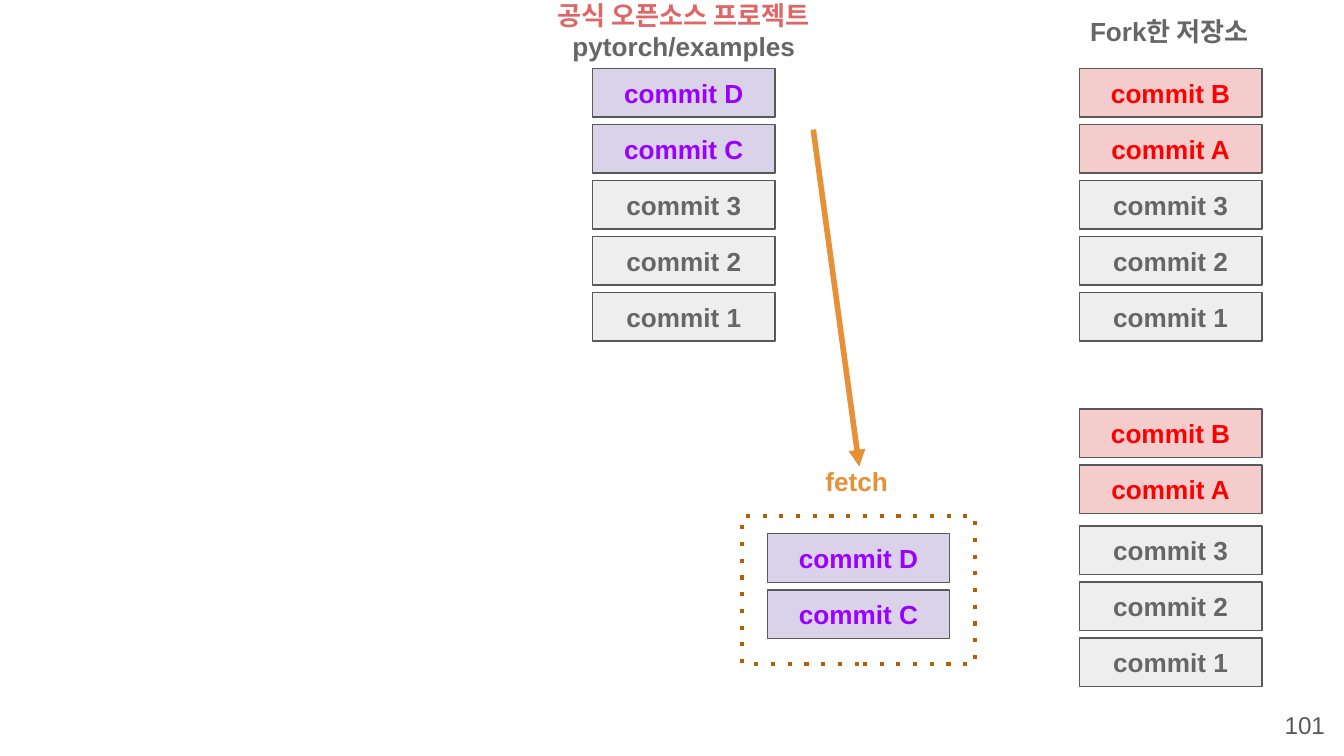
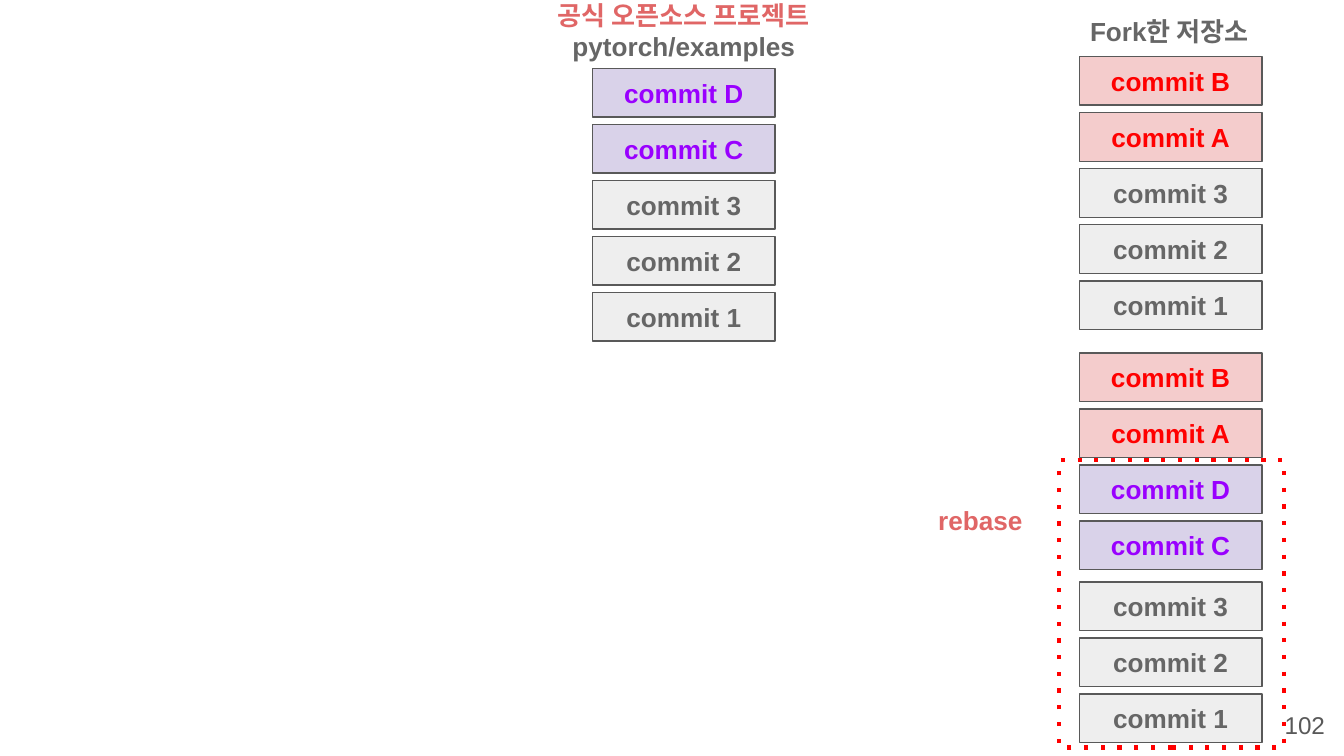
from pptx import Presentation, util as u
from pptx.dml.color import RGBColor
from pptx.enum import shapes, text
from pptx.oxml import ns, parse_xml

GRAY_FILL = RGBColor(0xEE, 0xEE, 0xEE)
PINK_FILL = RGBColor(0xF4, 0xCC, 0xCC)
LILAC_FILL = RGBColor(0xD9, 0xD2, 0xE9)
GRAY = RGBColor(0x66, 0x66, 0x66)
DARK_GRAY = RGBColor(0x59, 0x59, 0x59)
RED = RGBColor(0xFF, 0x00, 0x00)
PURPLE = RGBColor(0x99, 0x00, 0xFF)
CORAL = RGBColor(0xE0, 0x66, 0x66)
ORANGE = RGBColor(0xE6, 0x91, 0x38)
BROWN = RGBColor(0xB4, 0x5F, 0x06)

COMMIT_COLORS = {
    "1": (GRAY_FILL, GRAY), "2": (GRAY_FILL, GRAY), "3": (GRAY_FILL, GRAY),
    "A": (PINK_FILL, RED), "B": (PINK_FILL, RED),
    "C": (LILAC_FILL, PURPLE), "D": (LILAC_FILL, PURPLE),
}
COMMIT_WIDTH, COMMIT_HEIGHT, COMMIT_STEP = 3.45, 0.92, 1.06
OFFICIAL_LEFT, FETCHED_LEFT, FORK_LEFT = 11.2, 14.5, 20.4
OFFICIAL_TOP = 1.29


def write(box, *lines, size=14, bold=True, align=text.PP_ALIGN.CENTER,
          anchor=text.MSO_ANCHOR.TOP):
    frame = box.text_frame
    frame.word_wrap = True
    frame.vertical_anchor = anchor
    frame.margin_left = frame.margin_right = u.Cm(0.25)
    frame.margin_top = frame.margin_bottom = u.Cm(0.25)
    para = frame.paragraphs[0]
    para.alignment = align
    for index, (words, color) in enumerate(lines):
        if index:
            para.add_line_break()
        span = para.add_run()
        span.text = words
        span.font.name = "Arial"
        span.font.size = u.Pt(size)
        span.font.bold = bold
        span.font.color.rgb = color


def stack_commits(page, left, top, names):
    for row, name in enumerate(names):
        fill, color = COMMIT_COLORS[name]
        box = page.shapes.add_shape(
            shapes.MSO_SHAPE.RECTANGLE, u.Cm(left), u.Cm(top + row * COMMIT_STEP),
            u.Cm(COMMIT_WIDTH), u.Cm(COMMIT_HEIGHT))
        box.shadow.inherit = False
        box.fill.solid()
        box.fill.fore_color.rgb = fill
        box.line.color.rgb = DARK_GRAY
        box.line.width = u.Pt(0.75)
        write(box, (f"commit {name}", color), anchor=text.MSO_ANCHOR.MIDDLE)


deck = Presentation()
deck.slide_width = u.Cm(25.4)
deck.slide_height = u.Cm(14.29)

pages = [
    {
        "number": "101",
        "stacks": [(FORK_LEFT, OFFICIAL_TOP, "BA321"), (FORK_LEFT, 7.73, "BA"),
                   (FORK_LEFT, 9.94, "321"), (FETCHED_LEFT, 10.09, "DC")],
        "frame": (14.03, 9.76, 4.4, 2.79), "frame_color": BROWN,
        "step": ("fetch", ORANGE), "step_area": (15.35, 8.55, 2.08, 1.48),
        "arrow": (15.37, 2.45, 16.24, 8.82),
    },
    {
        "number": "102",
        "stacks": [(FORK_LEFT, 1.07, "BA321"), (FORK_LEFT, 6.67, "BADC"),
                   (FORK_LEFT, 11, "321")],
        "frame": (20.02, 8.7, 4.25, 5.43), "frame_color": RED,
        "step": ("rebase", CORAL), "step_area": (17.48, 9.29, 2.28, 1.48),
        "arrow": None,
    },
]

for plan in pages:
    page = deck.slides.add_slide(deck.slide_layouts[6])

    heading = page.shapes.add_textbox(u.Cm(8.9), u.Cm(-0.27), u.Cm(8.05), u.Cm(0.92))
    write(heading, ("공식 오픈소스 프로젝트", CORAL), ("pytorch/examples", GRAY))
    heading = page.shapes.add_textbox(u.Cm(18.08), u.Cm(0.05), u.Cm(8.05), u.Cm(0.92))
    write(heading, ("Fork한 저장소", GRAY))

    stack_commits(page, OFFICIAL_LEFT, OFFICIAL_TOP, "DC321")
    for left, top, names in plan["stacks"]:
        stack_commits(page, left, top, names)

    if plan["arrow"]:
        arrow = page.shapes.add_connector(
            shapes.MSO_CONNECTOR.STRAIGHT, *map(u.Cm, plan["arrow"]))
        arrow.line.color.rgb = ORANGE
        arrow.line.width = u.Pt(3)
        properties = arrow.element.spPr
        properties.find(ns.qn("a:ln")).append(
            parse_xml(f'<a:tailEnd {ns.nsdecls("a")} type="triangle"/>'))
        properties.append(parse_xml(f'<a:effectLst {ns.nsdecls("a")}/>'))

    frame = page.shapes.add_shape(
        shapes.MSO_SHAPE.RECTANGLE, *map(u.Cm, plan["frame"]))
    frame.shadow.inherit = False
    frame.fill.background()
    frame.line.color.rgb = plan["frame_color"]
    frame.line.width = u.Pt(2.25)
    frame.element.spPr.find(ns.qn("a:ln")).append(
        parse_xml(f'<a:prstDash {ns.nsdecls("a")} val="dot"/>'))

    label = page.shapes.add_textbox(*map(u.Cm, plan["step_area"]))
    write(label, plan["step"], align=text.PP_ALIGN.LEFT)

    number = page.shapes.add_textbox(u.Cm(23.77), u.Cm(13.18), u.Cm(1.52), u.Cm(1.09))
    write(number, (plan["number"], DARK_GRAY), size=13, bold=False,
          align=text.PP_ALIGN.RIGHT)

deck.save("out.pptx")
